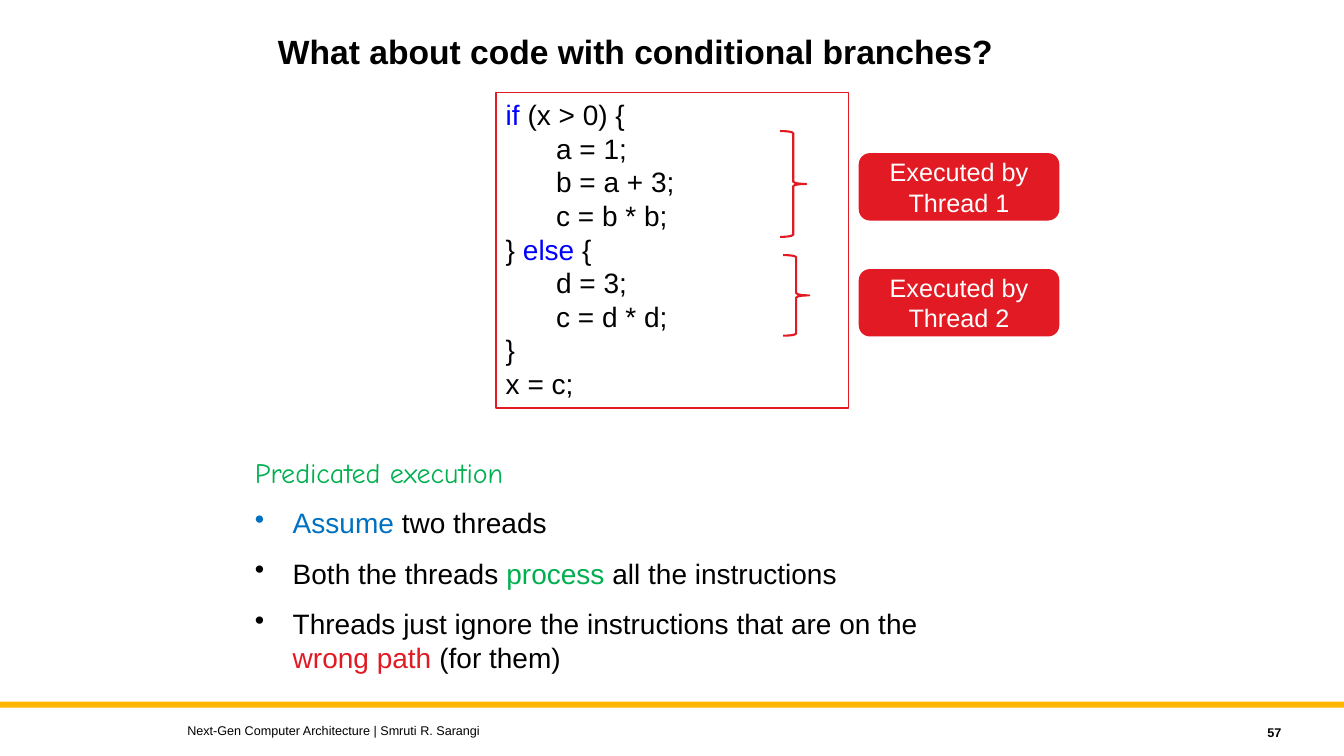
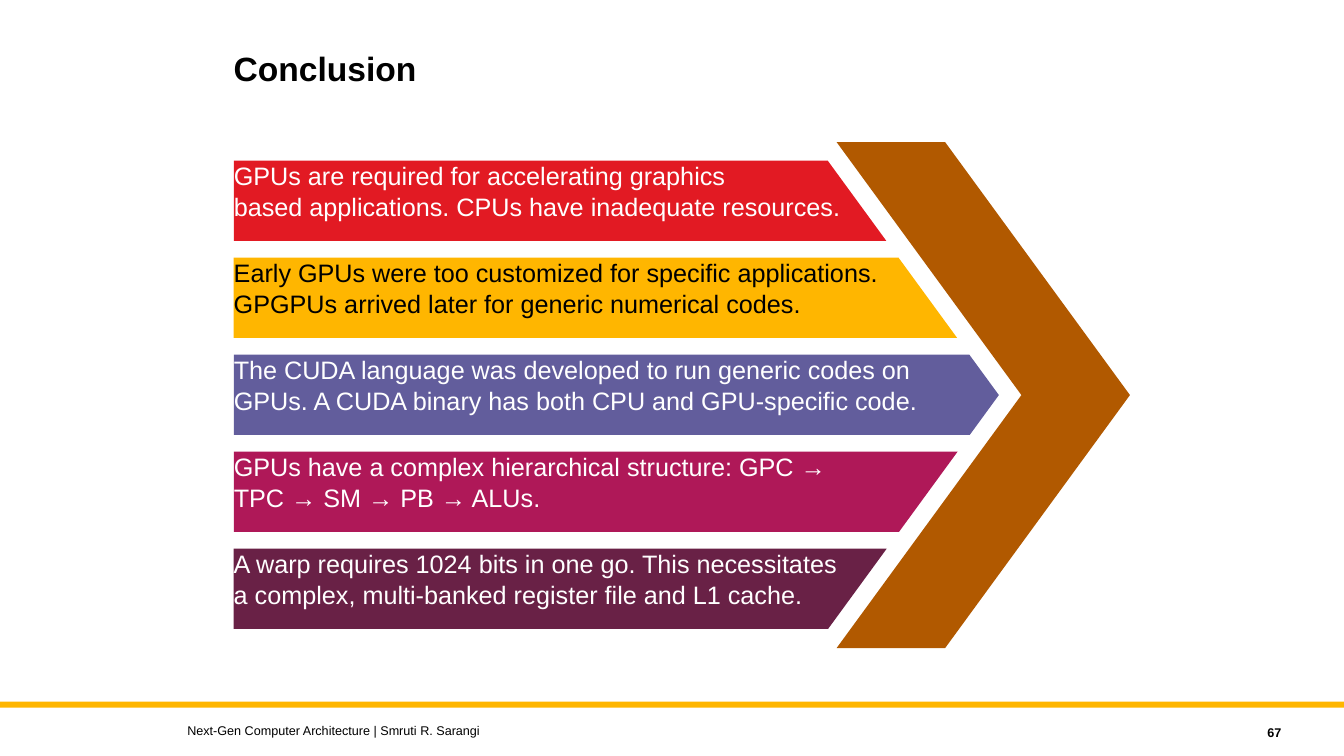
from dataclasses import dataclass

from lxml.etree import SubElement
from pptx import Presentation
from pptx.dml.color import RGBColor
from pptx.enum.shapes import MSO_SHAPE
from pptx.enum.text import MSO_ANCHOR, MSO_AUTO_SIZE, PP_ALIGN
from pptx.oxml.ns import qn
from pptx.util import Pt


@dataclass(frozen=True)
class Theme:
    # Colours
    black: str = "000000"
    white: str = "FFFFFF"
    red: str = "E21A23"
    gold: str = "FFB600"
    violet: str = "625D9C"
    pink: str = "AF1858"
    plum: str = "692146"
    brown: str = "B15900"
    green: str = "00B050"
    blue: str = "0070C0"
    key: str = "0000FF"
    # Fonts and sizes
    font: str = "Arial"
    hand: str = "Comic Neue"
    head: int = 24
    body: int = 20
    label: int = 18
    small: int = 9


T = Theme()
FOOT = "Next-Gen Computer Architecture | Smruti R. Sarangi"


class Deck:
    def __init__(self):
        self.prs = Presentation()
        self.prs.slide_width, self.prs.slide_height = Pt(960), Pt(540)
        self.slide = None

    def page(self, title, left, top, number):
        """Start a slide with its title, band and footer."""
        self.slide = self.prs.slides.add_slide(self.prs.slide_layouts[6])
        self.shape(MSO_SHAPE.RECTANGLE, (0, 501.2, 960, 4.3), T.gold)
        head = self.text((left, top, 540, 64.8), [title], T.head, bold=True)
        head.text_frame.paragraphs[0].line_spacing = 0.9
        mid = MSO_ANCHOR.MIDDLE
        self.text((126.7, 512.6, 576, 18), [FOOT], T.small, anchor=mid)
        self.text((821.5, 514.1, 100.8, 18), [str(number)], T.small,
                  bold=True, anchor=mid, align=PP_ALIGN.RIGHT)

    def paint(self, shape, fill=None, line=None, width=1):
        """Set fill and outline, and drop the shadow."""
        shape.shadow.inherit = False
        if fill:
            shape.fill.solid()
            shape.fill.fore_color.rgb = RGBColor.from_string(fill)
        else:
            shape.fill.background()
        if line:
            shape.line.color.rgb = RGBColor.from_string(line)
            shape.line.width = Pt(width)
        else:
            shape.line.fill.background()
        return shape

    def shape(self, kind, box, fill=None, line=None, width=1):
        shape = self.slide.shapes.add_shape(kind, *map(Pt, box))
        return self.paint(shape, fill, line, width)

    def outline(self, points, fill):
        """Draw a closed polygon through the points."""
        points = [(Pt(x), Pt(y)) for x, y in points]
        pen = self.slide.shapes.build_freeform(*points[0])
        pen.add_line_segments(points[1:], close=True)
        return self.paint(pen.convert_to_shape(), fill)

    def text(self, box, lines, size, **style):
        area = self.slide.shapes.add_textbox(*map(Pt, box))
        self.label(area, lines, size, **style)
        return area

    def label(self, shape, lines, size, color=T.black, bold=False,
              anchor=MSO_ANCHOR.TOP, align=PP_ALIGN.LEFT):
        """Fill a shape; a line is a string or a list of (text, colour)."""
        frame = shape.text_frame
        frame.word_wrap = True
        frame.vertical_anchor = anchor
        for i, line in enumerate(lines):
            para = frame.add_paragraph() if i else frame.paragraphs[0]
            para.alignment = align
            if isinstance(line, str):
                para.text = line
                tints = [color] * len(para.runs)
            else:
                for words, _ in line:
                    para.add_run().text = words
                tints = [tint for _, tint in line]
            for run, tint in zip(para.runs, tints):
                run.font.name, run.font.size = T.font, Pt(size)
                run.font.bold = bold
                run.font.color.rgb = RGBColor.from_string(tint)

    def bullet(self, para):
        props = para._p.get_or_add_pPr()
        props.set("marL", str(Pt(27)))
        props.set("indent", str(-Pt(27)))
        SubElement(props, qn("a:buChar")).set("char", "•")
        para.space_before = Pt(12)


def branch(deck):
    deck.page("What about code with conditional branches?", 191.5, 21.6, 57)

    # Code listing
    code = deck.shape(MSO_SHAPE.RECTANGLE, (354.2, 66.2, 252, 225.4),
                      T.white, T.red)
    deck.label(code, [
        [("if ", T.key), ("(x > 0) {", T.black)],
        "\ta = 1;", "\tb = a + 3;", "\tc = b * b;",
        [("} ", T.black), ("else ", T.key), ("{", T.black)],
        "\td = 3;", "\tc = d * d;", "}", "x = c;"], T.body)
    code.text_frame.auto_size = MSO_AUTO_SIZE.SHAPE_TO_FIT_TEXT

    # Braces and thread labels
    threads = [((557.3, 93.6, 18.7, 75.6), 109.4),
               ((559.4, 182.2, 18.7, 57.6), 192.2)]
    for i, (brace, top) in enumerate(threads, 1):
        deck.shape(MSO_SHAPE.RIGHT_BRACE, brace, None, T.red, 1.5)
        tag = deck.shape(MSO_SHAPE.ROUNDED_RECTANGLE,
                         (613.4, top, 143.3, 48.2), T.red)
        deck.label(tag, [f"Executed by Thread {i}"], T.label, T.white,
                   anchor=MSO_ANCHOR.MIDDLE, align=PP_ALIGN.CENTER)

    # Explanation
    notes = deck.text((175, 321.8, 540, 172.8), [
        [("Predicated execution", T.green)],
        [("Assume", T.blue), (" two threads", T.black)],
        [("Both the threads ", T.black), ("process", T.green),
         (" all the instructions", T.black)],
        [("Threads just ignore the instructions that are on the ", T.black),
         ("wrong path ", T.red), ("(for them)", T.black)]], T.body)
    first, *rest = notes.text_frame.paragraphs
    first.runs[0].font.name = T.hand
    for para in rest:
        deck.bullet(para)


def close(deck):
    deck.page("Conclusion", 159.8, 33.8, 67)

    # Large arrowhead
    arrow = deck.shape(MSO_SHAPE.CHEVRON, (597.6, 101.5, 209.5, 361.4), T.brown)
    arrow.adjustments[0] = 0.63

    # Bars cut along a line parallel to the arrowhead
    left, tip, mid = 167, 713.5, 282.2
    start, step, high = 114.7, 69.3, 57.3
    slope = 0.73

    def edge(y):
        return tip - slope * abs(y - mid), y

    bars = [
        (T.red, T.white, ["GPUs are required for accelerating graphics",
                          "based applications. CPUs have inadequate resources."]),
        (T.gold, T.black, ["Early GPUs were too customized for specific applications.",
                           "GPGPUs arrived later for generic numerical codes."]),
        (T.violet, T.white, ["The CUDA language was developed to run generic codes on "
                             "\vGPUs. A CUDA binary has both CPU and GPU-specific code."]),
        (T.pink, T.white, ["GPUs have a complex hierarchical structure: GPC → "
                           "\vTPC → SM → PB → ALUs."]),
        (T.plum, T.white, ["A warp requires 1024 bits in one go. This necessitates",
                           "a complex, multi-banked register file and L1 cache."]),
    ]
    for i, (fill, ink, lines) in enumerate(bars):
        top = start + i * step
        low = top + high
        point = [edge(mid)] if top < mid < low else []
        bar = deck.outline([(left, top), edge(top), *point, edge(low),
                            (left, low)], fill)
        frame = bar.text_frame
        frame.margin_left = frame.margin_right = 0
        frame.margin_top = frame.margin_bottom = 0
        deck.label(bar, lines, T.label, ink)


def main():
    deck = Deck()
    branch(deck)
    close(deck)
    deck.prs.save("out.pptx")


if __name__ == "__main__":
    main()
